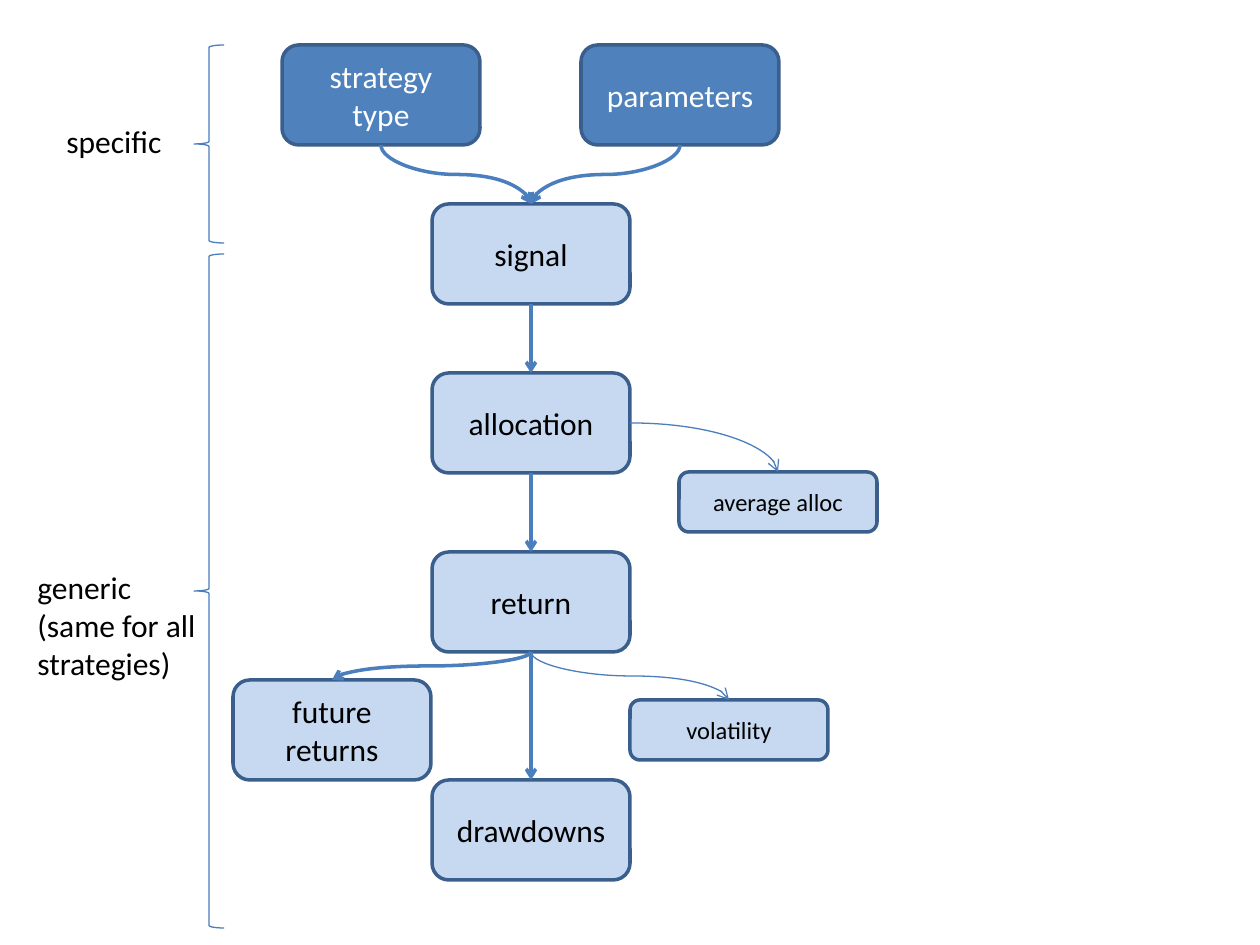
from dataclasses import dataclass

from lxml import etree
from pptx import Presentation
from pptx.dml.color import RGBColor
from pptx.enum.shapes import MSO_CONNECTOR, MSO_SHAPE
from pptx.enum.text import MSO_ANCHOR, MSO_AUTO_SIZE, PP_ALIGN
from pptx.oxml.ns import qn
from pptx.util import Emu, Pt

ROUNDED = MSO_SHAPE.ROUNDED_RECTANGLE
BRACE = MSO_SHAPE.LEFT_BRACE
CURVE = MSO_CONNECTOR.CURVE
MIDDLE = MSO_ANCHOR.MIDDLE
CENTER, LEFT = PP_ALIGN.CENTER, PP_ALIGN.LEFT
FIT_TEXT = MSO_AUTO_SIZE.SHAPE_TO_FIT_TEXT

SLIDE_W, SLIDE_H = 1260, 945
BOX_W, BOX_H, SMALL_H = 198, 100, 60
CENTER_X = 432
TOP, BOTTOM, RIGHT = 0, 2, 3


@dataclass(frozen=True)
class Theme:
    font: str = "Calibri"
    size: int = 18
    small_size: int = 14
    strong_fill: str = "4F81BD"
    light_fill: str = "C6D9F1"
    border: str = "3A5F8C"
    line: str = "4B7EBC"
    dark_text: str = "000000"
    light_text: str = "FFFFFF"
    thick: float = 2
    thin: float = 0.75


THEME = Theme()


def px(n):
    return Emu(round(n * 914400 / 126))


def rgb(value):
    return RGBColor.from_string(value)


def set_line(sp, color, width):
    sp.line.color.rgb = rgb(color)
    sp.line.width = Pt(width)


def write_text(tf, text, size=THEME.size, color=THEME.dark_text, align=LEFT):
    """Fill a text frame, one paragraph for each line of the text."""
    for i, line in enumerate(text.split("\n")):
        p = tf.add_paragraph() if i else tf.paragraphs[0]
        p.alignment = align
        r = p.add_run()
        r.text = line
        r.font.name = THEME.font
        r.font.size = Pt(size)
        r.font.color.rgb = rgb(color)


def add_box(s, text, x, y, h=BOX_H, fill=THEME.light_fill, **text_format):
    sp = s.shapes.add_shape(ROUNDED, px(x), px(y), px(BOX_W), px(h))
    sp.shadow.inherit = False
    sp.fill.solid()
    sp.fill.fore_color.rgb = rgb(fill)
    set_line(sp, THEME.border, THEME.thick)
    tf = sp.text_frame
    tf.word_wrap = True
    tf.vertical_anchor = MIDDLE
    write_text(tf, text, align=CENTER, **text_format)
    return sp


def add_brace(s, y, h):
    sp = s.shapes.add_shape(BRACE, px(194), px(y), px(30), px(h))
    sp.shadow.inherit = False
    sp.fill.background()
    set_line(sp, THEME.line, THEME.thin)


def add_label(s, text, x, y, w, h, wrap=True):
    tf = s.shapes.add_textbox(px(x), px(y), px(w), px(h)).text_frame
    tf.word_wrap = wrap
    tf.auto_size = FIT_TEXT
    write_text(tf, text)


def turn_downward(c):
    """Rotate a curved connector so that it leaves and arrives vertically."""
    dx, dy = c.end_x - c.begin_x, c.end_y - c.begin_y
    mid_x, mid_y = (c.begin_x + c.end_x) // 2, (c.begin_y + c.end_y) // 2
    c.width, c.height = Emu(dy), Emu(abs(dx))
    c.left, c.top = Emu(mid_x - dy // 2), Emu(mid_y - abs(dx) // 2)
    xfrm = c._element.spPr.find(qn("a:xfrm"))
    xfrm.set("rot", str((270 if dx > 0 else 90) * 60000))
    xfrm.set("flipH", "1" if dx > 0 else "0")


def add_arrow(s, source, target, width=THEME.thick, side=BOTTOM):
    """Join a side of the source to the top of the target."""
    c = s.shapes.add_connector(CURVE, 0, 0, 0, 0)
    c.begin_connect(source, side)
    c.end_connect(target, TOP)
    spPr = c._element.spPr
    if side == BOTTOM:
        turn_downward(c)
    else:
        spPr.find(qn("a:prstGeom")).set("prst", "curvedConnector2")
    set_line(c, THEME.line, width)
    etree.SubElement(spPr.find(qn("a:ln")), qn("a:tailEnd"), type="arrow")
    etree.SubElement(spPr, qn("a:effectLst"))


def main():
    prs = Presentation()
    prs.slide_width, prs.slide_height = px(SLIDE_W), px(SLIDE_H)
    s = prs.slides.add_slide(prs.slide_layouts[6])

    strong = {"fill": THEME.strong_fill, "color": THEME.light_text}
    small = {"h": SMALL_H, "size": THEME.small_size}
    strategy = add_box(s, "strategy type", 282, 45, **strong)
    parameters = add_box(s, "parameters", 581, 45, **strong)
    signal = add_box(s, "signal", CENTER_X, 204)
    allocation = add_box(s, "allocation", CENTER_X, 373)
    returns = add_box(s, "return", CENTER_X, 552)
    drawdowns = add_box(s, "drawdowns", CENTER_X, 780)
    future = add_box(s, "future returns", 233, 680)
    average = add_box(s, "average alloc", 679, 472, **small)
    volatility = add_box(s, "volatility", 630, 700, **small)

    for source, target in (
        (strategy, signal),
        (parameters, signal),
        (signal, allocation),
        (allocation, returns),
        (returns, drawdowns),
        (returns, future),
    ):
        add_arrow(s, source, target)
    add_arrow(s, allocation, average, width=THEME.thin, side=RIGHT)
    add_arrow(s, returns, volatility, width=THEME.thin)

    add_brace(s, 45, 198)
    add_label(s, "specific", 54, 116, 122, 50, wrap=False)
    add_brace(s, 254, 674)
    add_label(s, "generic\n(same for all strategies)", 25, 562, 189, 127)

    prs.save("out.pptx")


if __name__ == "__main__":
    main()
